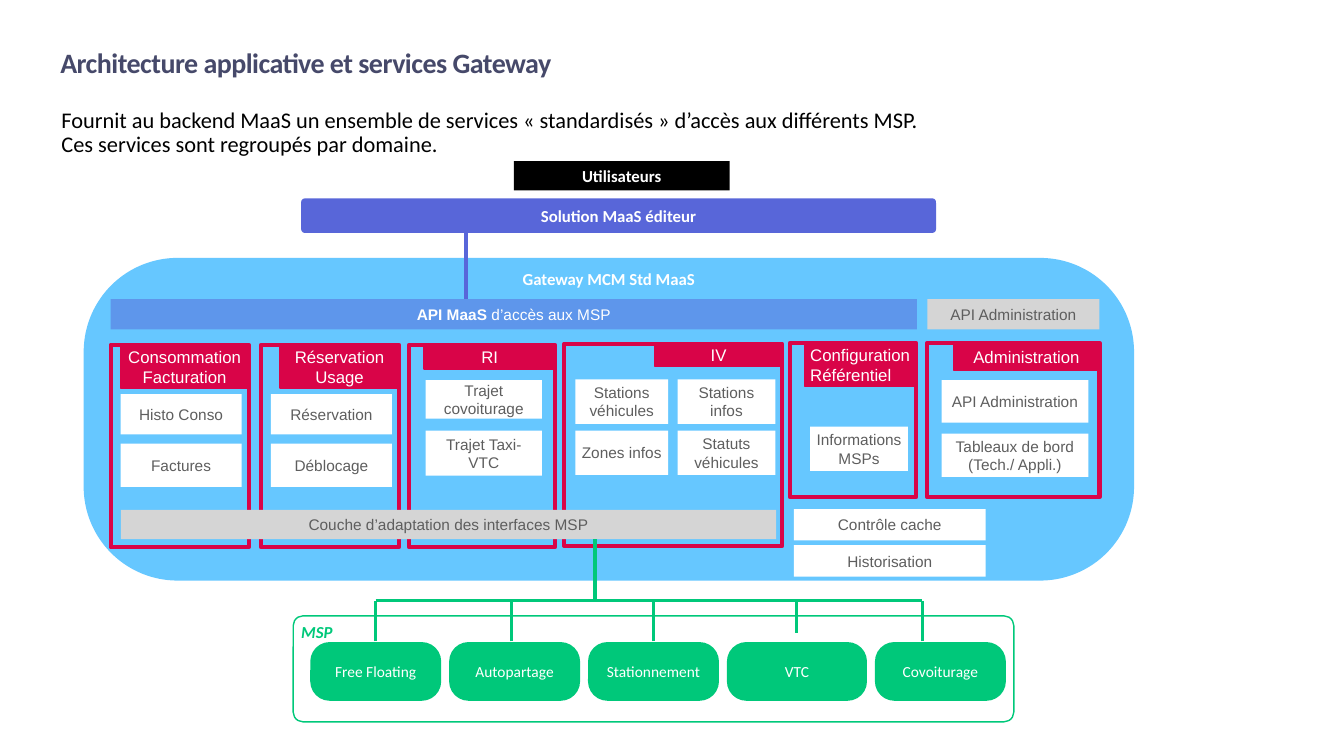
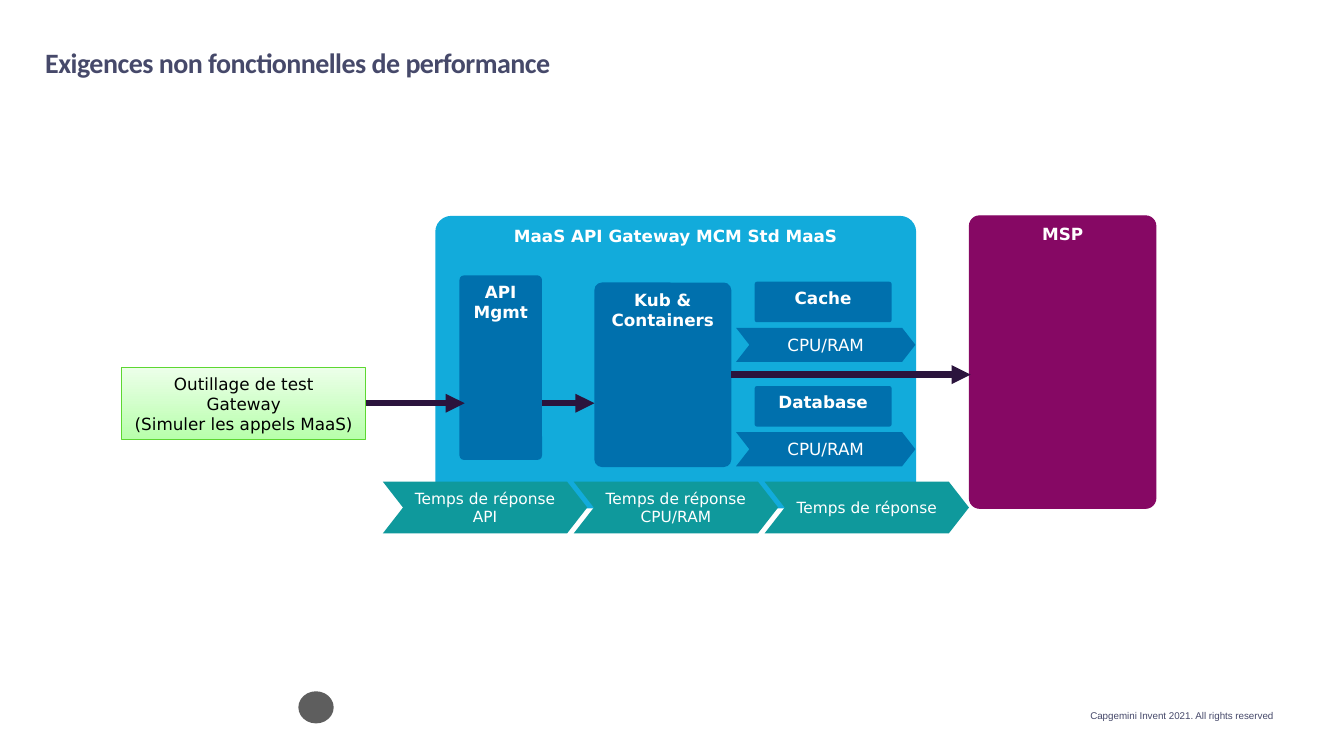
from lxml.etree import SubElement
from pptx import Presentation
from pptx.dml.color import RGBColor
from pptx.enum.shapes import MSO_CONNECTOR, MSO_SHAPE
from pptx.enum.text import MSO_ANCHOR, PP_ALIGN
from pptx.oxml.ns import qn
from pptx.util import Cm, Pt

COLORS = {
    "white": "FFFFFF", "black": "000000", "title": "46496A", "grey": "5E5E5E",
    "silver": "D5D5D5", "indigo": "5866D9", "sky": "66C7FF", "red": "D90448",
    "green": "00C87A", "plum": "860864", "cyan": "12ABDB", "blue": "0070AD",
    "teal": "0F999C", "night": "2B143D", "lime": "5DD731", "mint": "B8FFAC",
    "pale": "ECFFE9",
}
RECT, ROUND, ARROW = MSO_SHAPE.RECTANGLE, MSO_SHAPE.ROUNDED_RECTANGLE, MSO_SHAPE.CHEVRON
LEFT, MID, RIGHT = PP_ALIGN.LEFT, PP_ALIGN.CENTER, PP_ALIGN.RIGHT

# Text and fill styles shared by the boxes
HEAD = dict(size=12, font="Calibri", bold=True)
CARD = dict(fill="white", size=11, font="Arial", color="grey", pad=0.15)
BAR = dict(CARD, fill="silver")
TAG = dict(fill="red", line="red", size=12, font="Arial", pad=0.15)
PILL = dict(kind=ROUND, adj=0.331, fill="green", size=11, font="Calibri")
BLOCK = dict(kind=ROUND, adj=0.055, size=12, font="DejaVu Sans", bold=True,
             anchor=MSO_ANCHOR.TOP)
STEP = dict(kind=ARROW, adj=0.39, font="DejaVu Sans")


def rgb(name):
    return RGBColor.from_string(COLORS[name])


def style(run, size, font, color, bold=False):
    run.font.size = Pt(size)
    run.font.name = font
    run.font.bold = bold
    run.font.color.rgb = rgb(color)


def write(shape, text, size=12, font="Calibri", color="white", bold=False,
          align=MID, anchor=MSO_ANCHOR.MIDDLE, pad=None, wrap=True):
    frame = shape.text_frame
    frame.text = text
    frame.word_wrap = wrap
    frame.vertical_anchor = anchor
    if pad is not None:
        frame.margin_left = frame.margin_right = Cm(pad)
        frame.margin_top = frame.margin_bottom = Cm(pad)
    for para in frame.paragraphs:
        para.alignment = align
        for run in para.runs:
            style(run, size, font, color, bold)
    return frame


def box(slide, x, y, w, h, text="", kind=RECT, fill=None, line=None, width=1,
        adj=None, **look):
    shape = slide.shapes.add_shape(kind, Cm(x), Cm(y), Cm(w), Cm(h))
    shape.shadow.inherit = False
    if adj is not None:
        shape.adjustments[0] = adj
    if fill:
        shape.fill.solid()
        shape.fill.fore_color.rgb = rgb(fill)
    else:
        shape.fill.background()
    if line:
        shape.line.color.rgb = rgb(line)
        shape.line.width = Pt(width)
    else:
        shape.line.fill.background()
    if text:
        write(shape, text, **look)
    return shape


def label(slide, x, y, w, h, text, **look):
    shape = slide.shapes.add_textbox(Cm(x), Cm(y), Cm(w), Cm(h))
    return write(shape, text, **look)


def link(slide, x1, y1, x2, y2, color, width, head=False):
    wire = slide.shapes.add_connector(
        MSO_CONNECTOR.STRAIGHT, Cm(x1), Cm(y1), Cm(x2), Cm(y2))
    wire.line.color.rgb = rgb(color)
    wire.line.width = Pt(width)
    if head:
        SubElement(wire.line._get_or_add_ln(), qn("a:tailEnd"), type="triangle")
    SubElement(wire._element.spPr, qn("a:effectLst"))


def title(slide, x, text):
    frame = label(slide, x, 0.64, 25, 2.5, text, size=20, font="Calibri",
                  color="title", bold=True, align=LEFT, anchor=MSO_ANCHOR.TOP, pad=0)
    frame.margin_top = Cm(0.51)
    frame.paragraphs[0].runs[0]._r.get_or_add_rPr().set("spc", "-40")


# Slide 1: service domains. Frame x, y, w, h; tag x, h, text; cards x, y, w, h, text
DOMAINS = [
    ((0.68, 2.19, 3.48, 5.1), (0.25, 1.09, "Consommation\nFacturation"),
     [(0.25, 1.24, 3.05, 1.02, "Histo Conso"), (0.25, 2.49, 3.05, 1.09, "Factures")]),
    ((4.47, 2.19, 3.48, 5.1), (0.48, 1.09, "Réservation\nUsage"),
     [(0.25, 1.24, 3.05, 1.02, "Réservation"), (0.25, 2.49, 3.05, 1.09, "Déblocage")]),
    ((8.2, 2.19, 3.68, 5.1), (0.38, 0.61, "RI"),
     [(0.42, 0.89, 2.93, 0.97, "Trajet covoiturage"),
      (0.42, 2.16, 2.93, 1.14, "Trajet Taxi-VTC")]),
    ((12.11, 2.16, 5.49, 5.1), (2.29, 0.58, "IV"),
     [(0.28, 0.9, 2.34, 1.12, "Stations véhicules"),
      (0.28, 2.19, 2.34, 1.12, "Zones infos"),
      (2.86, 0.9, 2.46, 1.12, "Stations infos"),
      (2.86, 2.19, 2.46, 1.12, "Statuts véhicules")]),
    ((17.8, 2.14, 3.18, 3.89), (0.36, 1.09, "Configuration\nRéférentiel"),
     [(0.51, 2.11, 2.46, 1.12, "Informations MSPs")]),
    ((21.26, 2.14, 4.34, 3.89), (0.66, 0.69, "Administration"),
     [(0.36, 0.94, 3.7, 1.07, "API Administration"),
      (0.36, 2.29, 3.7, 1.09, "Tableaux de bord (Tech./ Appli.)")]),
]


def domain(slide, x, y, w, h, tag, cards):
    box(slide, x, y, w, h, line="red", width=3)
    shift, tall, text = tag
    side = LEFT if text.startswith("Config") else MID
    box(slide, x + shift, y, w - shift, tall, text, align=side, **TAG)
    for cx, cy, cw, ch, name in cards:
        box(slide, x + cx, y + cy, cw, ch, name, **CARD)


def gateway(slide, x, y):
    box(slide, x, y, 26.47, 8.13, kind=ROUND, adj=0.291, fill="sky")
    label(slide, x, y + 0.28, 26.47, 0.5, "Gateway MCM Std MaaS", pad=0, **HEAD)
    # API bars
    bar = box(slide, x + 0.68, y + 1.04, 20.32, 0.76, "API MaaS ", fill="indigo",
              size=11, font="Arial", bold=True, pad=0.15)
    tint = bar._element.spPr.find(qn("a:solidFill"))[0]
    SubElement(tint, qn("a:alpha"), val="50000")
    rest = bar.text_frame.paragraphs[0].add_run()
    rest.text = "d’accès aux MSP"
    style(rest, 11, "Arial", "white")
    box(slide, x + 21.26, y + 1.04, 4.34, 0.76, "API Administration", **BAR)
    # Domains and shared services
    for (dx, dy, w, h), tag, cards in DOMAINS:
        domain(slide, x + dx, y + dy, w, h, tag, cards)
    for row, name in enumerate(("Contrôle cache", "Historisation")):
        box(slide, x + 17.9, y + 6.33 + row * 0.91, 4.83, 0.79, name, **CARD)
    box(slide, x + 0.94, y + 6.35, 16.51, 0.74,
        "Couche d’adaptation des interfaces MSP", **BAR)
    link(slide, x + 9.63, y + 1.04, x + 9.63, y - 0.63, "indigo", 3)


# Pill name, width, x and end of its branch
PILLS = [
    ("Free Floating", 3.3, 2.08, 0.64), ("Autopartage", 3.3, 5.49, 0.64),
    ("Stationnement", 3.3, 9.07, 0.64), ("VTC", 3.53, 12.68, 0.43),
    ("Covoiturage", 3.3, 15.85, 0.64),
]


def partners(slide, x, y):
    bus = y - 0.38
    box(slide, x, y, 18.16, 2.67, kind=ROUND, adj=0.092, line="green")
    frame = label(slide, x + 0.05, y, 2.64, 0.79, "MSP", color="green",
                  align=LEFT, pad=0.15, **HEAD)
    frame.paragraphs[0].runs[0].font.italic = True
    left = x + 0.43
    for name, width, drop, end in PILLS:
        box(slide, left, y + 0.66, width, 1.48, name, **PILL)
        link(slide, x + drop, y + end, x + drop, bus, "green", 2.25)
        left += width + 0.2
    link(slide, x + PILLS[0][2], bus, x + PILLS[-1][2], bus, "green", 2.25)
    link(slide, x + 7.6, y - 1.93, x + 7.6, bus, "green", 3)


def services(slide):
    title(slide, 1.52, "Architecture applicative et services Gateway")
    frame = label(slide, 1.3, 2.62, 22.91, 1.5,
                  "Fournit au backend MaaS un ensemble de services « standardisés » "
                  "d’accès aux différents MSP. Ces services sont regroupés par domaine.",
                  size=16, color="black", align=LEFT, anchor=MSO_ANCHOR.TOP)
    frame.paragraphs[0].line_spacing = 0.9
    box(slide, 12.95, 4.06, 5.44, 0.74, "Utilisateurs", fill="black", **HEAD)
    box(slide, 7.59, 5, 16, 0.87, "Solution MaaS éditeur", kind=ROUND, adj=0.105,
        fill="indigo", **HEAD)
    gateway(slide, 2.11, 6.5)
    partners(slide, 7.39, 15.52)


# Slide 2: performance chain
def stack(slide, x, y):
    box(slide, x, y, 12.12, 7.37, "MaaS API Gateway MCM Std MaaS", fill="cyan", **BLOCK)
    box(slide, x + 0.61, y + 1.5, 2.08, 4.65, "API\nMgmt", fill="blue", **BLOCK)
    box(slide, x + 4.01, y + 1.68, 3.45, 4.65, "Kub & Containers", fill="blue", **BLOCK)
    # Resources with their load
    for row, name in enumerate(("Cache", "Database")):
        top = y + 1.66 + row * 2.63
        box(slide, x + 8.05, top, 3.45, 1.02, name, fill="blue", **BLOCK)
        box(slide, x + 7.58, top + 1.16, 4.52, 0.86, "CPU/RAM", fill="blue",
            size=12, **STEP)
    # Response times
    times = ("Temps de réponse API", "Temps de réponse CPU/RAM", "Temps de réponse")
    for col, name in enumerate(times):
        box(slide, x - 1.32 + col * 4.81, y + 6.7, 5.15, 1.3, name, fill="teal",
            size=11, **STEP)
    # Flow
    for start, end, level in ((-1.75, 0.74, 4.72), (2.69, 4.01, 4.72), (7.46, 13.49, 4)):
        link(slide, x + start, y + level, x + end, y + level, "night", 4.5, True)


def tester(slide, x, y):
    tool = box(slide, x, y, 6.15, 1.8,
               "Outillage de test\nGateway\n(Simuler les appels MaaS)",
               line="lime", width=0.75, size=12, font="DejaVu Sans",
               color="black", wrap=False)
    tool.fill.gradient()
    tool.fill.gradient_angle = 90
    for stop, name in zip(tool.fill.gradient_stops, ("mint", "pale")):
        stop.color.rgb = rgb(name)


def footer(slide, x, y):
    box(slide, x, y - 0.33, 0.89, 0.81, kind=MSO_SHAPE.OVAL, fill="grey")
    label(slide, x + 19.56, y, 5.11, 0.53, "Capgemini Invent 2021. All rights reserved",
          size=7, font="Arial", color="title", align=RIGHT,
          anchor=MSO_ANCHOR.BOTTOM, pad=0.1)


def speed(slide):
    title(slide, 1.14, "Exigences non fonctionnelles de performance")
    box(slide, 24.43, 5.44, 4.7, 7.37, "MSP", fill="plum", line="plum", width=0.75,
        **BLOCK)
    tester(slide, 3.07, 9.27)
    stack(slide, 10.97, 5.44)
    footer(slide, 7.52, 17.75)


def main():
    deck = Presentation()
    deck.slide_width, deck.slide_height = Cm(33.87), Cm(19.05)
    for build in (services, speed):
        build(deck.slides.add_slide(deck.slide_layouts[6]))
    deck.save("out.pptx")


if __name__ == "__main__":
    main()
